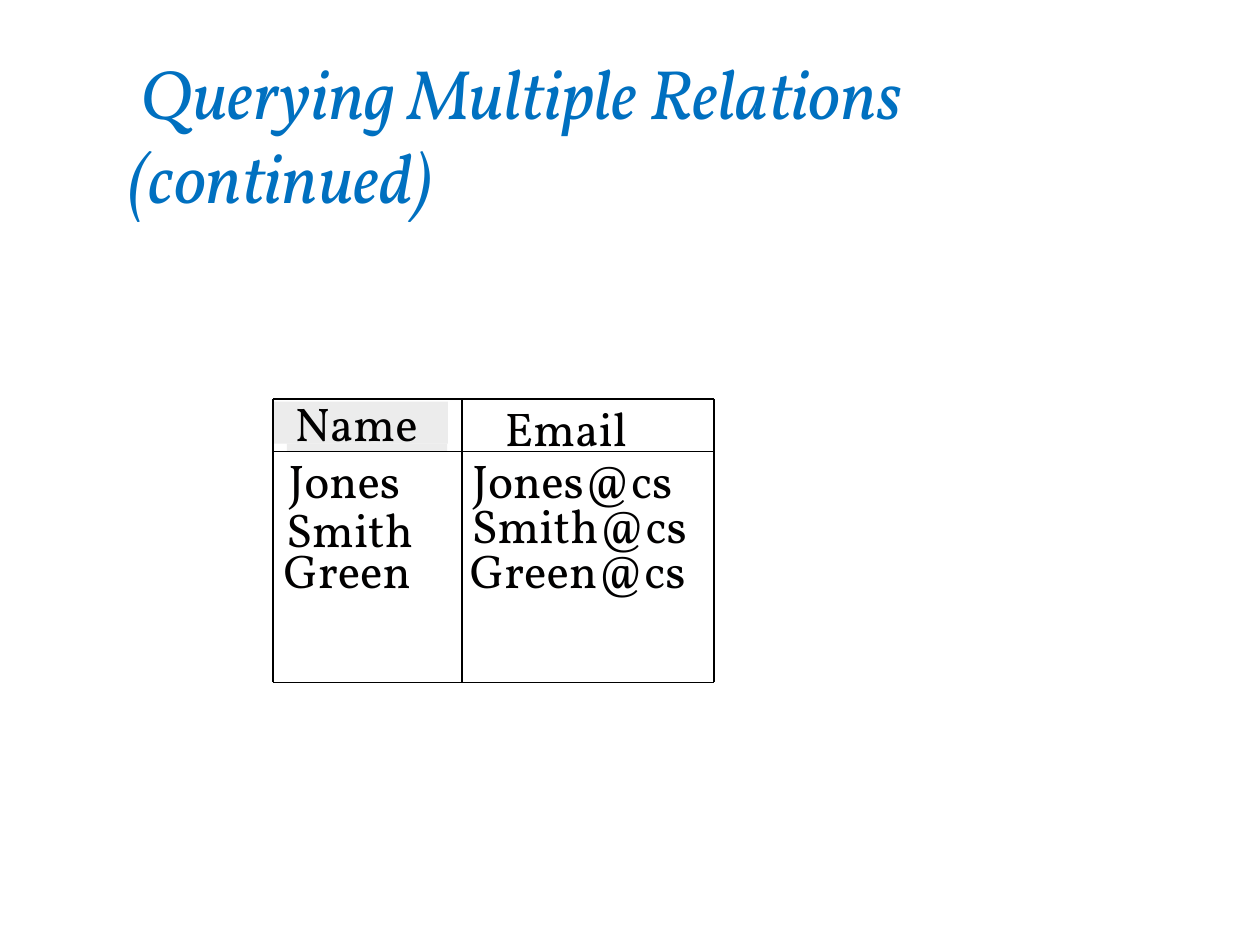
from lxml.etree import SubElement
from pptx import Presentation
from pptx.dml.color import RGBColor
from pptx.enum.shapes import MSO_CONNECTOR as Connector, MSO_SHAPE as Shape
from pptx.enum.text import MSO_ANCHOR as Anchor, MSO_AUTO_SIZE as AutoSize
from pptx.oxml.ns import qn
from pptx.util import Pt

COLORS = {"title": "0070C0", "text": "010000", "rule": "000000", "shade": "ECECEC"}
FONT = "Vollkorn"
COLUMN_EDGES = (156, 264, 408)
ROW_EDGES = (228, 258, 390)
SHADES = ((156, 229.5, 100, 24), (164, 253.5, 91.5, 4.5))
ENTRIES = (
    ("Name", 168.5, 225.5, 75.5),
    ("Jones", 165, 258, 69),
    ("Smith", 163.5, 286, 75.5),
    ("Green", 162, 309, 78.5),
    ("Email", 288.5, 228, 75),
    ("Jones@cs", 270, 258, 119.5),
    ("Smith@cs", 269.5, 283.5, 126),
    ("Green@cs", 268.5, 309.5, 129),
)


def color(name):
    return RGBColor.from_string(COLORS[name])


def add_span(para, text, size, color_name, italic=False):
    span = para.add_run()
    span.text = text
    span.font.name = FONT
    span.font.size = Pt(size)
    span.font.italic = italic
    span.font.color.rgb = color(color_name)


def add_title(page, lines):
    box = page.shapes.add_textbox(Pt(66), Pt(33), Pt(612), Pt(87))
    frame = box.text_frame
    frame.word_wrap = True
    frame.vertical_anchor = Anchor.MIDDLE
    para = frame.paragraphs[0]
    for index, line in enumerate(lines):
        if index:
            para.add_line_break()
        add_span(para, line, 40, "title", italic=True)


def add_entry(page, text, left, top, width):
    box = page.shapes.add_textbox(Pt(left), Pt(top), Pt(width), Pt(32.5))
    frame = box.text_frame
    frame.margin_left = frame.margin_top = 0
    frame.margin_right = frame.margin_bottom = 0
    frame.word_wrap = False
    frame.auto_size = AutoSize.SHAPE_TO_FIT_TEXT
    add_span(frame.paragraphs[0], text, 27, "text")


def add_shade(page, left, top, width, height):
    shade = page.shapes.add_shape(
        Shape.RECTANGLE, Pt(left), Pt(top), Pt(width), Pt(height))
    shade.shadow.inherit = False
    shade.fill.solid()
    shade.fill.fore_color.rgb = color("shade")
    shade.line.fill.background()


def add_rule(page, *ends):
    rule = page.shapes.add_connector(Connector.STRAIGHT, *map(Pt, ends))
    rule.line.color.rgb = color("rule")
    rule.line.width = Pt(1)
    SubElement(rule._element.spPr, qn("a:effectLst"))


def add_grid(page):
    for x in COLUMN_EDGES:
        add_rule(page, x, ROW_EDGES[0], x, ROW_EDGES[-1])
    for y in ROW_EDGES:
        add_rule(page, COLUMN_EDGES[0], y, COLUMN_EDGES[-1], y)


def main():
    deck = Presentation()
    deck.slide_width, deck.slide_height = Pt(720), Pt(540)
    page = deck.slides.add_slide(deck.slide_layouts[6])
    add_title(page, (" Querying Multiple Relations", "(continued)"))
    for shade in SHADES:
        add_shade(page, *shade)
    for entry in ENTRIES:
        add_entry(page, *entry)
    add_grid(page)
    deck.save("out.pptx")


if __name__ == "__main__":
    main()
